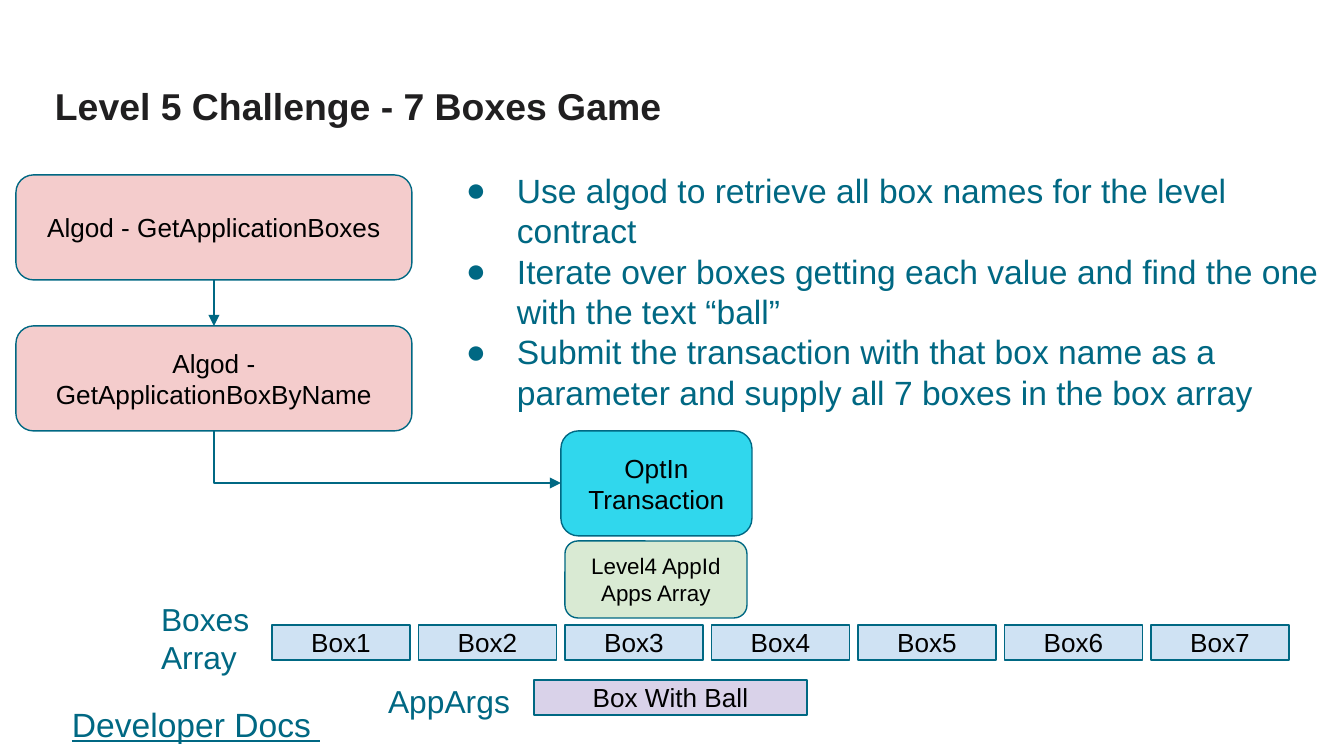
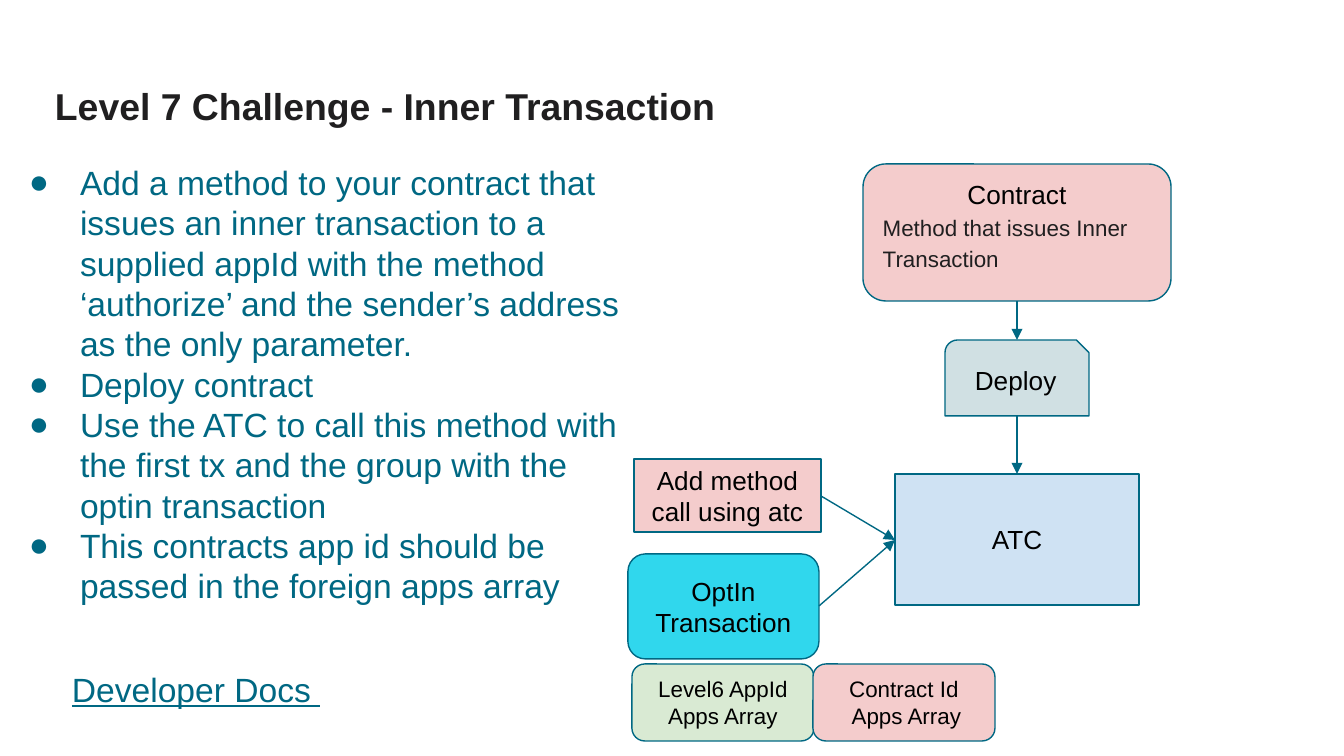
from dataclasses import dataclass

from lxml.etree import SubElement
from pptx import Presentation
from pptx.dml.color import RGBColor
from pptx.enum.shapes import MSO_CONNECTOR as CONN, MSO_SHAPE as SHAPE
from pptx.enum.text import MSO_ANCHOR as ANCHOR, PP_ALIGN as ALIGN
from pptx.oxml.ns import qn
from pptx.util import Pt

EMU_PER_PX = 914400 / 134.4


def px(n):
    return round(n * EMU_PER_PX)


@dataclass(frozen=True)
class Theme:
    font: str = "Arial"
    teal: str = "006883"
    ink: str = "201F20"
    black: str = "000000"
    pink: str = "F4CCCC"
    cyan: str = "30D7ED"
    green: str = "D9EAD3"
    blue: str = "CFE2F3"
    lilac: str = "D9D2E9"
    grey: str = "D0E0E3"
    title: int = 20
    body: int = 18
    label: int = 17
    node: int = 14
    small: int = 12
    line: float = 0.75


T = Theme()


def write(p, text, size, color, bold=False, underline=False, align=ALIGN.LEFT,
          spacing=None):
    """Put one formatted run into a paragraph."""
    p.alignment = align
    if spacing:
        p.line_spacing = spacing
    r = p.add_run()
    r.text = text
    f = r.font
    f.name, f.size, f.bold, f.underline = T.font, Pt(size), bold, underline
    f.color.rgb = RGBColor.from_string(color)


def set_frame(tf, anchor, side=13, top=13):
    tf.word_wrap = True
    tf.vertical_anchor = anchor
    tf.margin_left = tf.margin_right = px(side)
    tf.margin_top = tf.margin_bottom = px(top)


def add_bullet(p):
    pPr = p._p.get_or_add_pPr()
    pPr.set("marL", str(px(67)))
    pPr.set("indent", str(px(-51)))
    SubElement(SubElement(pPr, qn("a:buClr")), qn("a:srgbClr")).set("val", T.teal)
    SubElement(pPr, qn("a:buFont")).set("typeface", T.font)
    SubElement(pPr, qn("a:buChar")).set("char", "●")


class Deck:
    def __init__(self):
        self.prs = Presentation()
        self.prs.slide_width, self.prs.slide_height = px(1344), px(756)
        self.s = None

    def slide(self, title):
        self.s = self.prs.slides.add_slide(self.prs.slide_layouts[6])
        tf = self.frame(46, 66, 1253, 85, ANCHOR.MIDDLE, side=9, top=5)
        write(tf.paragraphs[0], title, T.title, T.ink, bold=True, spacing=0.9)

    def frame(self, x, y, w, h, anchor=ANCHOR.TOP, **margins):
        tf = self.s.shapes.add_textbox(px(x), px(y), px(w), px(h)).text_frame
        set_frame(tf, anchor, **margins)
        return tf

    def label(self, text, x, y, w, h=35, size=T.label, underline=False):
        p = self.frame(x, y, w, h).paragraphs[0]
        write(p, text, size, T.teal, underline=underline)

    def docs(self, y):
        self.label("Developer Docs ", 59, y, 1226, 85, T.body, underline=True)

    def bullets(self, items, x, y, w, h=399):
        tf = self.frame(x, y, w, h)
        for i, item in enumerate(items):
            p = tf.add_paragraph() if i else tf.paragraphs[0]
            add_bullet(p)
            write(p, item, T.body, T.teal)

    def node(self, lines, x, y, w, h, fill, kind=SHAPE.ROUNDED_RECTANGLE,
             size=T.node):
        sp = self.s.shapes.add_shape(kind, px(x), px(y), px(w), px(h))
        sp.shadow.inherit = False
        sp.fill.solid()
        sp.fill.fore_color.rgb = RGBColor.from_string(fill)
        sp.line.color.rgb = RGBColor.from_string(T.teal)
        sp.line.width = Pt(T.line)
        tf = sp.text_frame
        set_frame(tf, ANCHOR.MIDDLE)
        for i, line in enumerate(lines):
            p = tf.add_paragraph() if i else tf.paragraphs[0]
            write(p, line, size, T.black, align=ALIGN.CENTER)
        return tf

    def optin(self, x, y):
        self.node(["OptIn Transaction"], x, y, 191, 105, T.cyan)

    def apps(self, lines, x, y, fill=T.green):
        self.node(lines, x, y, 182, 77, fill, size=T.small)

    def arrow(self, x1, y1, x2, y2, kind=CONN.STRAIGHT):
        c = self.s.shapes.add_connector(kind, px(x1), px(y1), px(x2), px(y2))
        c.line.color.rgb = RGBColor.from_string(T.teal)
        c.line.width = Pt(T.line)
        spPr = c.element.spPr
        SubElement(spPr.find(qn("a:ln")), qn("a:tailEnd")).set("type", "triangle")
        SubElement(spPr, qn("a:effectLst"))
        return c

    def down_then_right(self, x1, y1, x2, y2):
        """One-bend arrow: a quarter-turned, flipped frame about the same centre."""
        c = self.arrow(x1, y1, x2, y2, CONN.ELBOW)
        w, h = y2 - y1, x2 - x1
        c.left, c.top = px((x1 + x2 - w) / 2), px((y1 + y2 - h) / 2)
        c.width, c.height = px(w), px(h)
        spPr = c.element.spPr
        spPr.find(qn("a:prstGeom")).set("prst", "bentConnector2")
        xfrm = spPr.find(qn("a:xfrm"))
        xfrm.set("rot", str(270 * 60000))
        xfrm.set("flipH", "1")


deck = Deck()

# Slide 1: seven boxes
deck.slide("Level 5 Challenge - 7 Boxes Game")
deck.docs(691)
deck.bullets([
    "Use algod to retrieve all box names for the level contract",
    "Iterate over boxes getting each value and find the one with the text “ball”",
    "Submit the transaction with that box name as a parameter and supply all 7 "
    "boxes in the box array",
], 437, 157, 917)

# Flow from queries to transaction
for call, y in (("GetApplicationBoxes", 175), ("GetApplicationBoxByName", 326)):
    deck.node([f"Algod - {call}"], 16, y, 396, 105, T.pink)
deck.optin(561, 431)
deck.apps(["Level4 AppId Apps Array"], 565, 541)
deck.arrow(214, 280, 214, 326)
deck.down_then_right(214, 431, 561, 483)

# Box row and arguments
deck.label("Boxes Array", 148, 587, 132)
row_left, row_right, box_w, count = 272, 1289, 138, 7
step = (row_right - row_left - box_w) / (count - 1)
for i in range(count):
    deck.node([f"Box{i + 1}"], row_left + i * step, 625, box_w, 35, T.blue,
              SHAPE.RECTANGLE)
deck.label("AppArgs", 375, 669, 159)
deck.node(["Box With Ball"], 534, 680, 273, 35, T.lilac, SHAPE.RECTANGLE)

# Slide 2: inner transaction
deck.slide("Level 7 Challenge - Inner Transaction")
deck.docs(656)
deck.bullets([
    "Add a method to your contract that issues an inner transaction to a supplied "
    "appId with the method ‘authorize’ and the sender’s address as the only "
    "parameter.",
    "Deploy contract",
    "Use the ATC to call this method with the first tx and the group with the "
    "optin transaction",
    "This contracts app id should be passed in the foreign apps array",
], 0, 149, 655)

# Contract, deployment and composer
tf = deck.node(["Contract"], 863, 164, 308, 137, T.pink)
set_frame(tf, ANCHOR.TOP, top=8)
write(tf.add_paragraph(), "Method that issues Inner Transaction", T.small, T.ink,
      spacing=1.15)
deck.node(["Deploy"], 945, 340, 144, 76, T.grey, SHAPE.SNIP_ROUND_RECTANGLE)
deck.node(["ATC"], 895, 474, 244, 131, T.blue, SHAPE.RECTANGLE)

# Calls fed to the composer
deck.node(["Add method call using atc"], 634, 459, 187, 73, T.pink, SHAPE.RECTANGLE)
deck.optin(628, 554)
deck.apps(["Level6 AppId Apps Array"], 632, 664)
deck.apps(["Contract Id", " Apps Array"], 813, 664, T.pink)
for ends in ((821, 496, 895, 540), (819, 606, 895, 540),
             (1017, 301, 1017, 340), (1017, 416, 1017, 474)):
    deck.arrow(*ends)

deck.prs.save("out.pptx")
